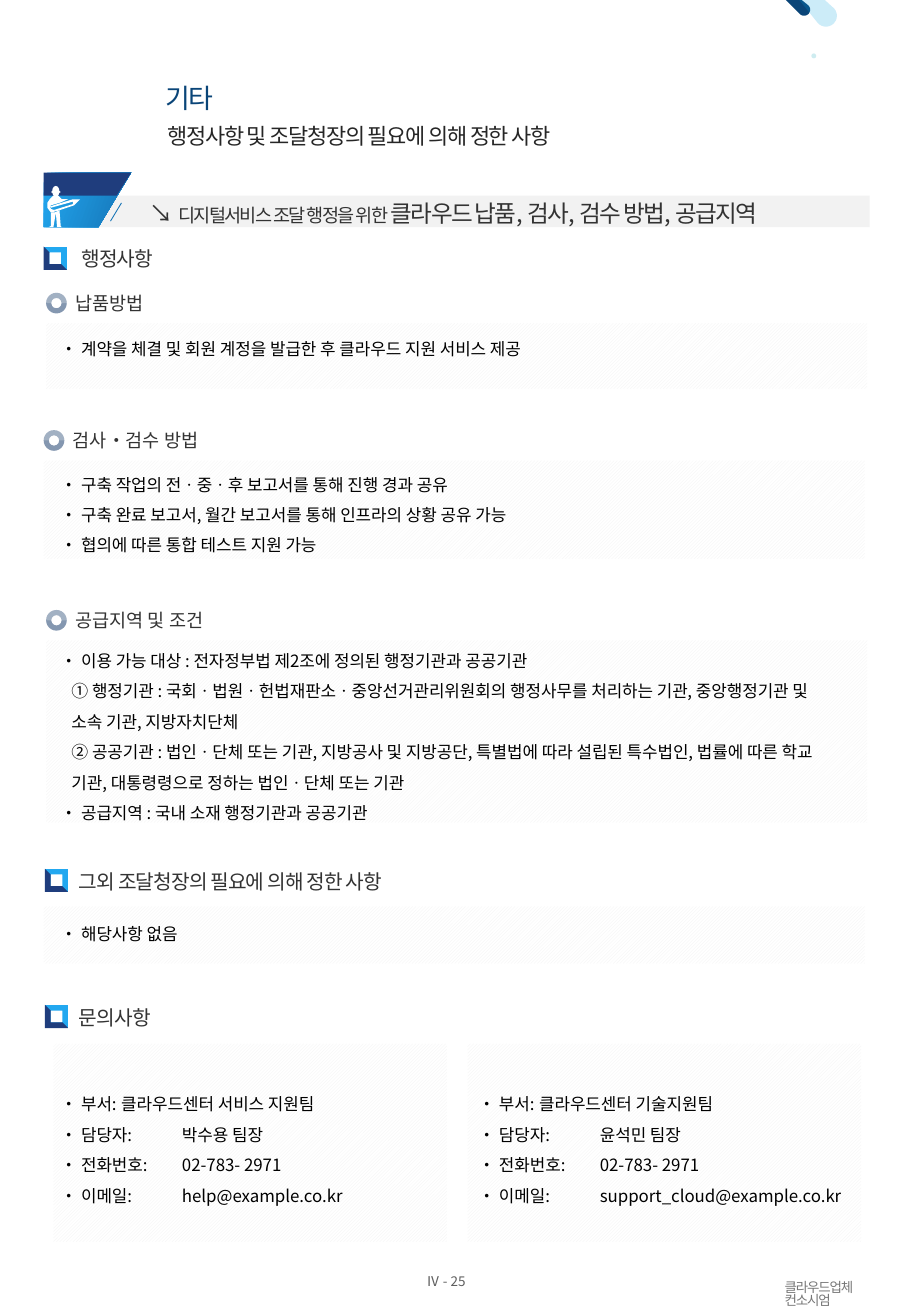
from dataclasses import dataclass
from math import cos, radians, sin

from lxml import etree
from pptx import Presentation
from pptx.dml.color import RGBColor
from pptx.enum.dml import MSO_PATTERN
from pptx.enum.shapes import MSO_CONNECTOR, MSO_SHAPE
from pptx.enum.text import MSO_ANCHOR, MSO_AUTO_SIZE
from pptx.oxml.ns import qn
from pptx.util import Inches, Pt

RECT, OVAL = MSO_SHAPE.RECTANGLE, MSO_SHAPE.OVAL
DONUT, FRAME = MSO_SHAPE.DONUT, MSO_SHAPE.FRAME
STRAIGHT = MSO_CONNECTOR.STRAIGHT
HATCH = MSO_PATTERN.DARK_UPWARD_DIAGONAL
TOP, MIDDLE = MSO_ANCHOR.TOP, MSO_ANCHOR.MIDDLE
FIT = MSO_AUTO_SIZE.SHAPE_TO_FIT_TEXT


@dataclass
class Theme:
    font: str = "Noto Sans CJK KR"
    title: str = "0A4578"
    subtitle: str = "262626"
    heading: str = "333333"
    body: str = "000000"
    page: str = "5F5F5F"
    footer: str = "767676"
    white: str = "FFFFFF"
    pale: str = "F2F2F2"
    navy: str = "1F3D7D"
    sky: str = "22A8F0"
    blue: str = "1573B5"
    cyan: str = "00A0E0"
    dot: str = "CEECF0"
    ring: str = "8497B0"
    title_size: float = 16
    banner_size: float = 14
    subtitle_size: float = 13
    section_size: float = 12
    item_size: float = 11
    body_size: float = 10
    small_size: float = 8


def rgb(value):
    return RGBColor.from_string(value)


def arc(cx, cy, radius, start, end, steps=16):
    """Points along a circular arc, angles in degrees."""
    angles = [radians(start + (end - start) * i / steps) for i in range(steps + 1)]
    return [(cx + radius * cos(a), cy + radius * sin(a)) for a in angles]


class SlideBuilder:
    def __init__(self, slide, theme):
        self.slide, self.theme = slide, theme

    def finish(self, s, color, alpha=None):
        s.shadow.inherit = False
        s.line.fill.background()
        if color:
            s.fill.solid()
            s.fill.fore_color.rgb = rgb(color)
        if alpha:
            node = s._element.spPr.find(".//" + qn("a:srgbClr"))
            etree.SubElement(node, qn("a:alpha"), val=str(alpha * 1000))
        return s

    def shape(self, kind, x, y, w, h, color=None):
        s = self.slide.shapes.add_shape(kind, Inches(x), Inches(y), Inches(w), Inches(h))
        return self.finish(s, color)

    def outline(self, points, color=None, alpha=None):
        pts = [(Inches(x), Inches(y)) for x, y in points]
        builder = self.slide.shapes.build_freeform(*pts[0])
        builder.add_line_segments(pts[1:], close=True)
        return self.finish(builder.convert_to_shape(), color, alpha)

    def gradient(self, s, first, last, angle, stops=(0, 1)):
        s.fill.gradient()
        s.fill.gradient_angle = angle
        for stop, color, position in zip(s.fill.gradient_stops, (first, last), stops):
            stop.color.rgb = rgb(color)
            stop.position = position

    def line(self, x1, y1, x2, y2, color, width):
        s = self.slide.shapes.add_connector(
            STRAIGHT, Inches(x1), Inches(y1), Inches(x2), Inches(y2))
        s.line.color.rgb = rgb(color)
        s.line.width = Pt(width)
        etree.SubElement(s._element.spPr, qn("a:effectLst"))

    def style(self, r, size, color, spacing):
        r.font.size = Pt(size)
        r.font.color.rgb = rgb(color)
        r.font.name = self.theme.font
        rPr = r.font._element
        etree.SubElement(rPr, qn("a:ea"), typeface=self.theme.font)
        if spacing:
            rPr.set("spc", str(round(spacing * 100)))

    def text(self, x, y, w, h, text, size, color, spacing=0, leading=None,
             anchor=TOP, inset=(0, 0), wrap=False):
        sp = self.slide.shapes.add_textbox(Inches(x), Inches(y), Inches(w), Inches(h))
        tf = sp.text_frame
        tf.text = text
        tf.word_wrap, tf.auto_size, tf.vertical_anchor = wrap, FIT, anchor
        tf.margin_left = tf.margin_right = Inches(inset[0])
        tf.margin_top = tf.margin_bottom = Inches(inset[1])
        for p in tf.paragraphs:
            if leading:
                p.line_spacing = leading
            for r in p.runs:
                self.style(r, size, color, spacing)
        return tf

    def body(self, x, y, w, h, lines, leading=None):
        t = self.theme
        tf = self.text(x, y, w, h, "\n".join(lines), t.body_size, t.body,
                       leading=leading, inset=(0.1, 0.05), wrap=True)
        for p in tf.paragraphs:
            if p.text[0] in "①②":
                p._p.get_or_add_pPr().set("marL", str(Inches(0.09)))

    def panel(self, x, y, w, h):
        s = self.shape(RECT, x, y, w, h)
        s.fill.patterned()
        s.fill.pattern = HATCH
        s.fill.fore_color.rgb = rgb(self.theme.pale)
        s.fill.back_color.rgb = rgb(self.theme.white)

    def section(self, x, y, text_x, w, text):
        t = self.theme
        s = self.shape(FRAME, x, y, 0.19, 0.19)
        s.adjustments[0] = 0.246
        self.gradient(s, t.sky, t.navy, 225, (0.5, 0.5))
        self.text(text_x, y, w, 0.2, text, t.section_size, t.heading, -0.5, anchor=MIDDLE)

    def item(self, x, y, w, text):
        t = self.theme
        self.shape(DONUT, x, y, 0.17, 0.17, t.ring)
        self.outline(arc(x + 0.085, y + 0.085, 0.085, 180, 360), t.white, 25)
        self.text(x + 0.24, y - 0.01, w, 0.19, text, t.item_size, t.heading)

    def banner(self, x, y, w, h, parts):
        t = self.theme
        tf = self.text(x, y, w, h, "", t.banner_size, t.heading,
                       anchor=MIDDLE, inset=(0.1, 0.05))
        p = tf.paragraphs[0]
        pPr = p._p.get_or_add_pPr()
        pPr.set("marL", str(Inches(0.19)))
        pPr.set("indent", str(-Inches(0.19)))
        etree.SubElement(pPr, qn("a:buFont"), typeface=t.font)
        etree.SubElement(pPr, qn("a:buChar"), char="↘")
        for text, size in parts:
            r = p.add_run()
            r.text = text
            self.style(r, size, t.heading, -1)


def main():
    prs = Presentation()
    prs.slide_width, prs.slide_height = Inches(7.5), Inches(10.83)
    t = Theme()
    b = SlideBuilder(prs.slides.add_slide(prs.slide_layouts[6]), t)

    # Corner decoration
    b.outline([(6.47, 0), (6.6, 0)] + arc(6.62, 0.08, 0.05, -41, 139), t.title)
    b.outline([(6.58, 0), (6.79, 0)] + arc(6.8, 0.13, 0.09, -41, 139), t.cyan, 20)
    b.shape(OVAL, 6.68, 0.44, 0.04, 0.04, t.dot)

    # Titles, page number and footer
    b.text(1.28, 0.63, 2.08, 0.35, "기타", t.title_size, t.title, -1.1,
           inset=(0.08, 0.04), wrap=True)
    b.text(1.38, 0.95, 3.71, 0.28, "행정사항 및 조달청장의 필요에 의해 정한 사항",
           t.subtitle_size, t.subtitle, -0.7, Pt(20), MIDDLE, wrap=True)
    b.text(3.51, 10.48, 0.49, 0.13, "Ⅳ - 25", t.small_size, t.page, anchor=MIDDLE)
    b.text(6.46, 10.55, 0.91, 0.26, "클라우드업체\v컨소시엄", t.small_size, t.footer,
           -0.7, 0.8)

    # Banner with a figure carrying a pencil
    b.shape(RECT, 0.47, 1.61, 6.69, 0.26, t.pale)
    flag = b.outline([(0.36, 1.42), (1.08, 1.42), (0.81, 1.87), (0.36, 1.87)])
    b.gradient(flag, t.sky, t.blue, 340)
    b.outline([(0.36, 1.42), (1.08, 1.42), (0.96, 1.61), (0.36, 1.61)], t.navy)
    pencil = [(0.41, 1.7), (0.6, 1.64), (0.66, 1.64), (0.61, 1.69), (0.46, 1.74),
              (0.44, 1.73), (0.6, 1.68), (0.6, 1.66), (0.42, 1.71)]
    torso = [(0.44, 1.61), (0.48, 1.61), (0.51, 1.64), (0.56, 1.64), (0.49, 1.67),
             (0.42, 1.69), (0.41, 1.7), (0.42, 1.72), (0.45, 1.73), (0.45, 1.75),
             (0.42, 1.75), (0.39, 1.71), (0.39, 1.67), (0.41, 1.64)]
    legs = [(0.49, 1.73), (0.5, 1.86), (0.51, 1.87), (0.47, 1.87), (0.46, 1.75),
            (0.44, 1.87), (0.4, 1.87), (0.42, 1.86), (0.42, 1.75), (0.45, 1.75)]
    for part in (pencil, torso, legs):
        b.outline(part, t.white)
    b.shape(OVAL, 0.43, 1.53, 0.06, 0.09, t.white)
    b.shape(OVAL, 0.42, 1.57, 0.08, 0.02, t.white)
    b.line(1, 1.67, 0.91, 1.82, t.blue, 0.5)
    b.banner(1.13, 1.58, 5.79, 0.34, [
        (" ", t.banner_size), ("디지털서비스 조달 행정을 위한 ", t.item_size),
        ("클라우드 납품, 검사, 검수 방법, 공급지역", t.banner_size)])

    # Section headings
    for x, y, text_x, w, text in [
            (0.36, 2.03, 0.67, 0.65, "행정사항"),
            (0.37, 7.15, 0.65, 2.84, "그외 조달청장의 필요에 의해 정한 사항"),
            (0.37, 8.27, 0.65, 0.65, "문의사항")]:
        b.section(x, y, text_x, w, text)

    # Items with a hatched panel: ring, label, panel height, text box, lines
    items = [
        (0.38, 2.41, 0.62, "납품방법", 0.54, 2.74, 0.27, None,
         ["• 계약을 체결 및 회원 계정을 발급한 후 클라우드 지원 서비스 제공"]),
        (0.36, 3.54, 1.06, "검사•검수 방법", 0.81, 3.77, 0.86, 1.5,
         ["• 구축 작업의 전ㆍ중ㆍ후 보고서를 통해 진행 경과 공유",
          "• 구축 완료 보고서, 월간 보고서를 통해 인프라의 상황 공유 가능",
          "• 협의에 따른 통합 테스트 지원 가능"]),
        (0.38, 5.02, 1.19, "공급지역 및 조건", 1.5, 5.22, 1.62, 1.5,
         ["• 이용 가능 대상 : 전자정부법 제2조에 정의된 행정기관과 공공기관",
          "① 행정기관 : 국회ㆍ법원ㆍ헌법재판소ㆍ중앙선거관리위원회의 행정사무를 "
          "처리하는 기관, 중앙행정기관 및 소속 기관, 지방자치단체",
          "② 공공기관 : 법인ㆍ단체 또는 기관, 지방공사 및 지방공단, 특별법에 따라 "
          "설립된 특수법인, 법률에 따른 학교 기관, 대통령령으로 정하는 법인ㆍ단체 또는 기관",
          "• 공급지역 : 국내 소재 행정기관과 공공기관"])]
    for x, y, w, label, panel_h, text_y, text_h, leading, lines in items:
        b.panel(x, y + 0.25, 6.76, panel_h)
        b.item(x, y, w, label)
        b.body(0.4, text_y, 6.54, text_h, lines, leading)

    # Other matters
    b.panel(0.36, 7.46, 6.76, 0.47)
    b.body(0.4, 7.55, 6.54, 0.27, ["• 해당사항 없음"])

    # Contacts
    for panel_x, text_x, team, manager, mail in [
            (0.44, 0.4, "클라우드센터 서비스 지원팀", "박수용 팀장", "help@example.co.kr"),
            (3.85, 3.84, "클라우드센터 기술지원팀", "윤석민 팀장",
             "support_cloud@example.co.kr")]:
        b.panel(panel_x, 8.59, 3.24, 1.63)
        b.body(text_x, 8.87, 3.2, 1.11, [
            f"• 부서:\t{team}", f"• 담당자:\t{manager}",
            "• 전화번호:\t02-783- 2971", f"• 이메일:\t{mail}"], 1.5)

    prs.save("out.pptx")


if __name__ == "__main__":
    main()
